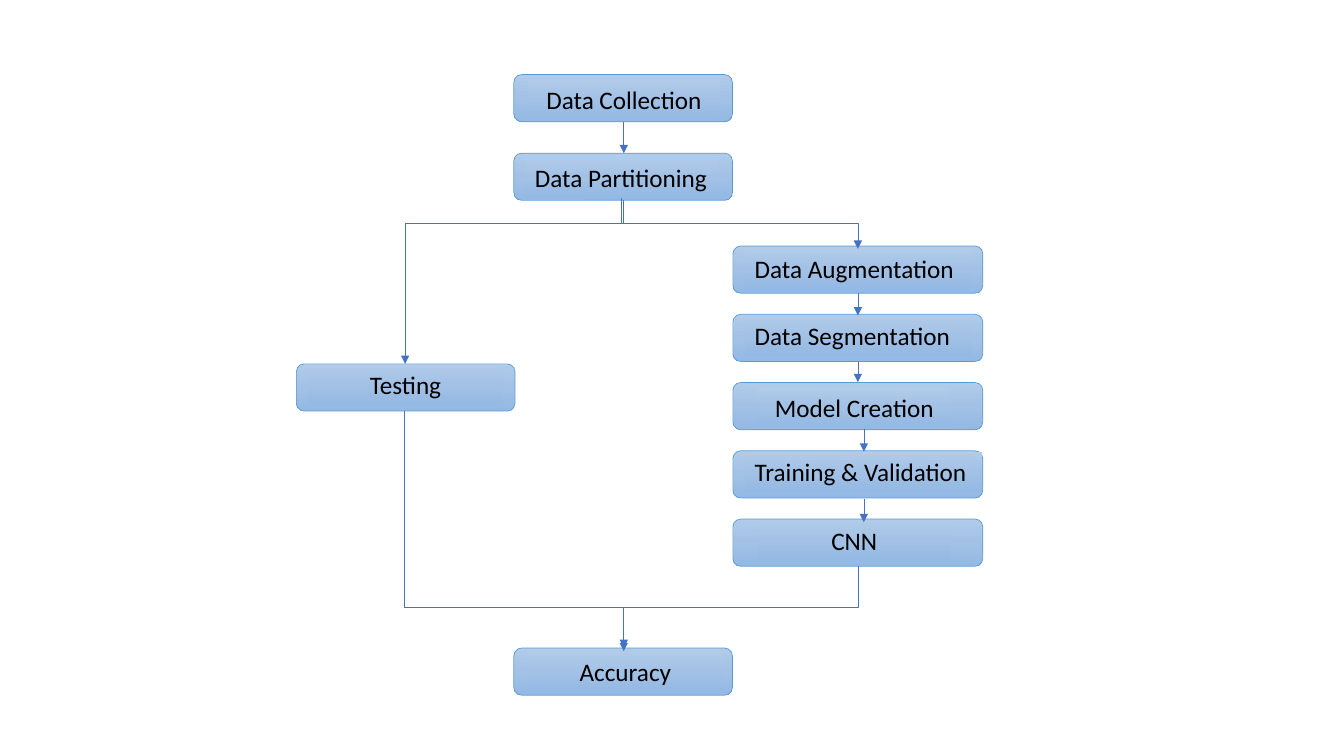
import copy
import pptx
import pptx.util
import pptx.dml.color
import pptx.enum.shapes
import pptx.enum.text
import pptx.oxml.ns
import lxml.etree

Cm = pptx.util.Cm
Pt = pptx.util.Pt
qn = pptx.oxml.ns.qn
Align = pptx.enum.text.PP_ALIGN
Link = pptx.enum.shapes.MSO_CONNECTOR

HUES = {"top": "B1CBE9", "mid": "A3C1E5", "low": "93B9E4",
        "edge": "5B9BD5", "line": "4472C4", "text": "000000"}
TALL = 1.19  # box height
SLIM, WIDE = 5.51, 6.3  # box widths
LEFT, MID, RIGHT = 7.47, 12.95, 18.47  # column edges
FIRST, STEP = 6.2, 1.72  # rows of the right column
FORK, JOIN = 5.64, 15.3  # heights of the two crossbars


class Chart:
    """Flow chart style and the slide it is drawn on."""

    font = "Calibri"
    size = Pt(18)
    thin = Pt(0.5)

    def __init__(self, slide):
        self.slide = slide

    def hue(self, name):
        return pptx.dml.color.RGBColor.from_string(HUES[name])

    def shade(self, shape):
        fill = shape.fill
        fill.gradient()
        fill.gradient_angle = 270
        stops = shape.element.find(".//" + qn("a:gsLst"))
        stops.insert(1, copy.deepcopy(stops[0]))
        for stop, name, place in zip(fill.gradient_stops, ("top", "mid", "low"), (0, 0.5, 1)):
            stop.color.rgb = self.hue(name)
            stop.position = place

    def box(self, x, y, wide):
        kind = pptx.enum.shapes.MSO_SHAPE.ROUNDED_RECTANGLE
        shape = self.slide.shapes.add_shape(kind, Cm(x), Cm(y), Cm(wide), Cm(TALL))
        shape.shadow.inherit = False
        self.shade(shape)
        shape.line.color.rgb = self.hue("edge")
        shape.line.width = self.thin

    def label(self, text, x, y, wide, align):
        shape = self.slide.shapes.add_textbox(Cm(x), Cm(y), Cm(wide), Cm(1.02))
        self.shade(shape)
        frame = shape.text_frame
        frame.word_wrap = True
        frame.auto_size = pptx.enum.text.MSO_AUTO_SIZE.SHAPE_TO_FIT_TEXT
        frame.text = text
        para = frame.paragraphs[0]
        para.alignment = align
        font = para.runs[0].font
        font.name, font.size = self.font, self.size
        font.color.rgb = self.hue("text")

    def link(self, kind, x1, y1, x2, y2):
        line = self.slide.shapes.add_connector(kind, Cm(x1), Cm(y1), Cm(x2), Cm(y2))
        line.line.color.rgb = self.hue("line")
        line.line.width = self.thin
        props = line.element.spPr
        tail = lxml.etree.SubElement(props.find(qn("a:ln")), qn("a:tailEnd"))
        tail.set("type", "triangle")
        lxml.etree.SubElement(props, qn("a:effectLst"))
        return props

    def arrow(self, x, y1, y2):
        self.link(Link.STRAIGHT, x, y1, x, y2)

    def bend(self, x1, y1, x2, y2, bar):
        """Go down to the bar, across, and down again: a turned elbow."""
        half, rise = (y2 - y1) / 2, abs(x2 - x1) / 2
        x, y = (x1 + x2) / 2, (y1 + y2) / 2
        side = -1 if x2 > x1 else 1  # mirrored when heading right
        props = self.link(Link.ELBOW, x - side * half, y - rise, x + side * half, y + rise)
        props.find(qn("a:xfrm")).set("rot", str(side * 90 % 360 * 60000))
        geom = props.find(qn("a:prstGeom"))
        guide = lxml.etree.SubElement(geom.find(qn("a:avLst")), qn("a:gd"))
        guide.set("name", "adj1")
        guide.set("fmla", f"val {round((bar - y1) / (y2 - y1) * 100000)}")


def main():
    deck = pptx.Presentation()
    deck.slide_width, deck.slide_height = Cm(33.87), Cm(19.05)
    chart = Chart(deck.slides.add_slide(deck.slide_layouts[6]))

    # Steps: text, box left, top, width, label offset, label width, alignment
    mid, left = Align.CENTER, Align.LEFT
    steps = [
        ("Data Collection", MID, 1.88, SLIM, 0.36, 0.13, 4.83, mid),
        ("Data Partitioning", MID, 3.86, SLIM, 0.28, 0.1, 4.9, left),
        ("Testing", LEFT, 9.17, SLIM, 0.3, 0.02, 4.9, mid),
        ("Accuracy", MID, 16.33, SLIM, 0.36, 0.08, 4.9, mid),
    ]
    train = [
        ("Data Augmentation", 0.3, 0.07, 5.72, left),
        ("Data Segmentation", 0.3, 0.03, 5.72, left),
        ("Model Creation", 0.61, 0.11, 4.9, mid),
        ("Training & Validation", 0.3, 0.02, 5.99, left),
        ("CNN", 0.61, 0.03, 4.9, mid),
    ]
    for row, (text, *rest) in enumerate(train):
        steps.append((text, RIGHT, FIRST + row * STEP, WIDE, *rest))
    for text, x, y, wide, dx, dy, span, align in steps:
        chart.box(x, y, wide)
        chart.label(text, x + dx, y + dy, span, align)

    # Fork after partitioning, join at accuracy
    chart.bend(15.67, 5, 21.62, 6.27, FORK)
    chart.bend(15.72, 5.05, 10.21, 9.17, FORK)
    chart.bend(21.62, 14.27, 15.72, 16.33, JOIN)
    chart.bend(10.19, 10.36, 15.72, 16.41, JOIN)

    # Straight arrows
    for x, y1, y2 in [(15.72, 3.07, 3.86), (21.62, 7.39, 7.95), (21.62, 9.12, 9.63),
                      (21.77, 10.8, 11.38), (21.77, 12.57, 13.16)]:
        chart.arrow(x, y1, y2)

    deck.save("out.pptx")


if __name__ == "__main__":
    main()
